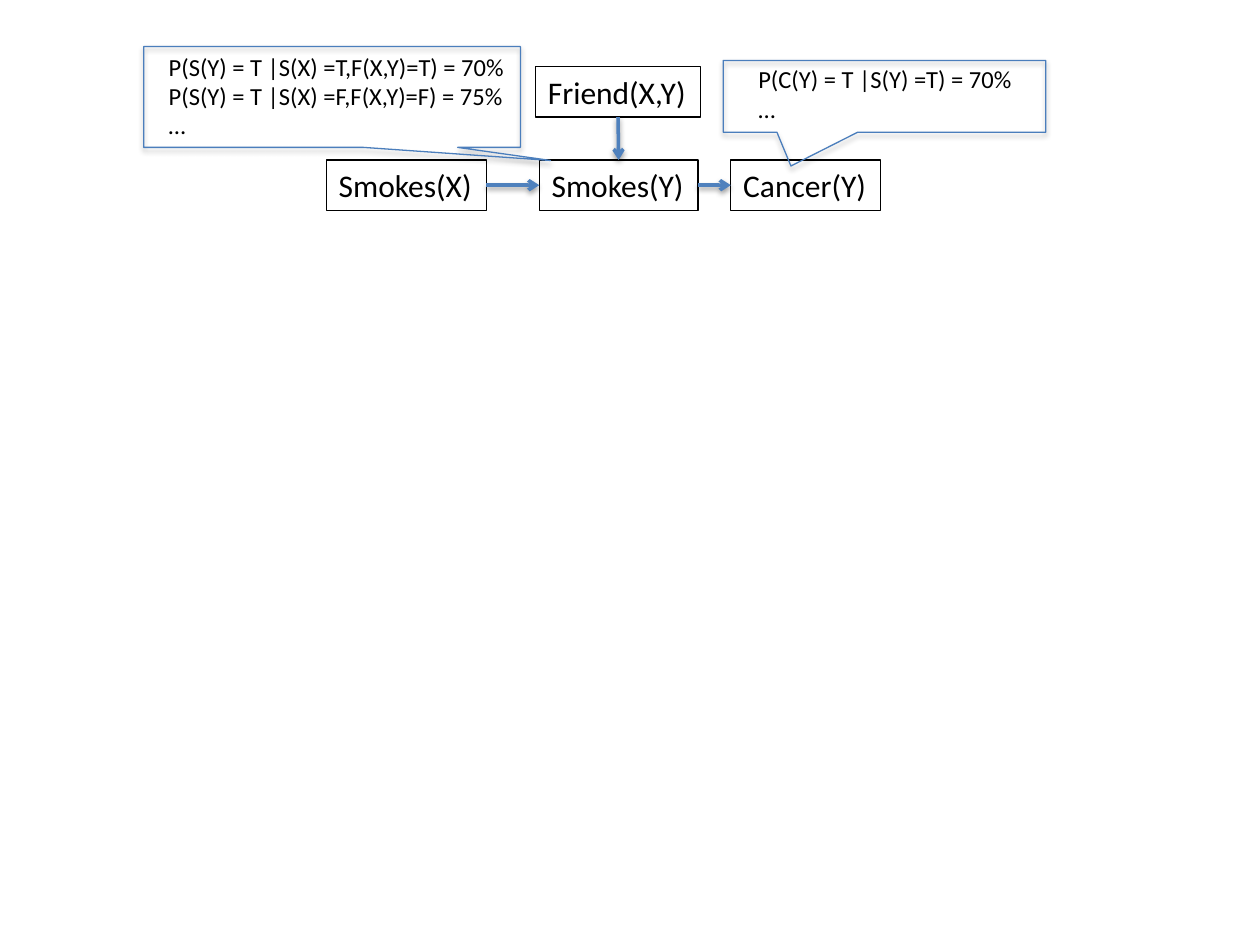
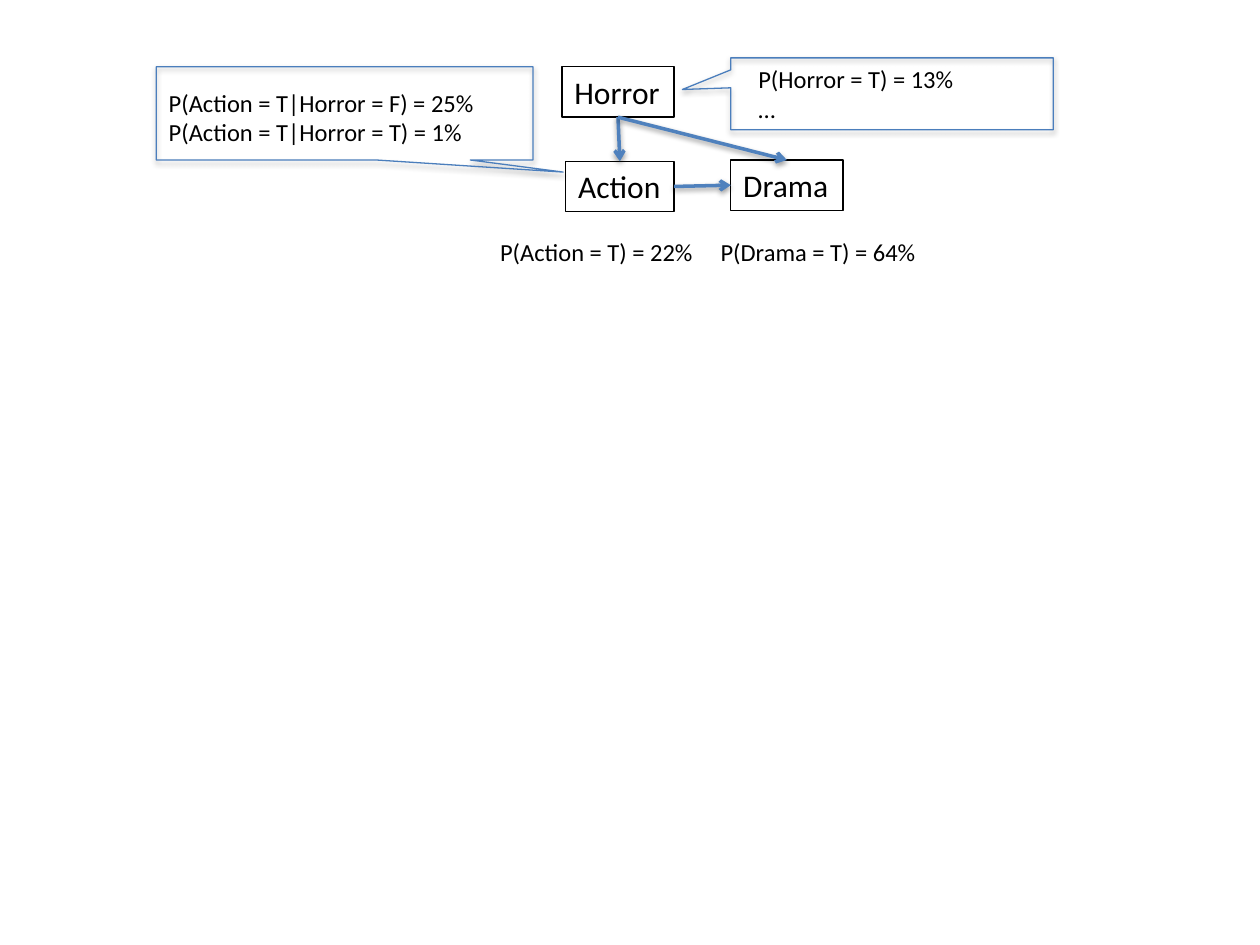
import pptx
import pptx.util
import pptx.dml.color
import pptx.enum.shapes
import pptx.enum.text
import pptx.oxml

COLOURS = {"ink": "000000", "arrow": "4F81BD", "callout": "4B7EBC"}
FONT = "Calibri"
NODE_SIZE, NOTE_SIZE = 18, 14
NODE_HEIGHT = 4
TOP, LEFT, BOTTOM, RIGHT = range(4)  # connection sites of a rectangle

deck = pptx.Presentation()
deck.slide_width = pptx.util.Inches(10)
deck.slide_height = pptx.util.Inches(7.5)
COLUMN = deck.slide_width / 100
ROW = deck.slide_height / 75

# Grid places are (left, top, width, height) in columns and rows.
PAGES = [
    {
        "nodes": {
            "Cancer(Y)": (58, 12.7, 11.9),
            "Smokes(X)": (25.9, 12.7, 12.7),
            "Friend(X,Y)": (42.5, 5.3, 13.1),
            "Smokes(Y)": (42.8, 12.7, 12.6),
        },
        "arrows": [
            ("Friend(X,Y)", BOTTOM, "Smokes(Y)", TOP),
            ("Smokes(Y)", RIGHT, "Cancer(Y)", LEFT),
            ("Smokes(X)", RIGHT, "Smokes(Y)", LEFT),
        ],
        "notes": [
            ("P(C(Y) = T |S(Y) =T) = 70%\n…", (59.2, 4.6, 22.6, 5.7)),
            ("P(S(Y) = T |S(X) =T,F(X,Y)=T) = 70%\n"
             "P(S(Y) = T |S(X) =F,F(X,Y)=F) = 75%\n…", (12.4, 3.6, 29.9, 8.1)),
        ],
        "callouts": [
            ((57.4, 4.8, 25.6, 5.7), (-0.29, 0.97)),
            ((11.4, 3.7, 29.9, 8), (0.58, 0.63)),
        ],
    },
    {
        "nodes": {
            "Drama": (58, 12.7, 8.9),
            "Horror": (44.6, 5.3, 8.9),
            "Action": (44.9, 12.8, 8.6),
        },
        "arrows": [
            ("Horror", BOTTOM, "Action", TOP),
            ("Action", RIGHT, "Drama", LEFT),
            ("Horror", BOTTOM, "Drama", TOP),
        ],
        "notes": [
            ("P(Horror = T) = 13%\n…", (59.2, 4.6, 18.2, 5.7)),
            ("P(Action = T|Horror = F) = 25%\vP(Action = T|Horror = T) = 1%",
             (12.4, 6.5, 29.9, 5.7)),
            ("P(Action = T) = 22%", (38.7, 18.3, 21.2, 3.4)),
            ("P(Drama = T) = 64%", (56.2, 18.3, 21.2, 3.4)),
        ],
        "callouts": [
            ((58, 4.6, 25.6, 5.7), (-0.65, -0.06)),
            ((12.4, 5.3, 29.9, 7.4), (0.58, 0.63)),
        ],
    },
]


def add_label(page, text, place, size, wrap):
    """Add a left-aligned text box at a grid place and return it."""
    left, top, width, height = place
    box = page.shapes.add_textbox(
        round(left * COLUMN), round(top * ROW),
        round(width * COLUMN), round(height * ROW))
    frame = box.text_frame
    frame.text = text
    frame.word_wrap = wrap
    frame.auto_size = pptx.enum.text.MSO_AUTO_SIZE.SHAPE_TO_FIT_TEXT
    for para in frame.paragraphs:
        for span in para.runs:
            span.font.name = FONT
            span.font.size = pptx.util.Pt(size)
            span.font.color.rgb = pptx.dml.color.RGBColor.from_string(COLOURS["ink"])
    return box


def style_outline(shape, colour, width, shadow=None):
    """Set the line and, from (distance, opacity percent), a soft drop shadow."""
    shape.line.color.rgb = pptx.dml.color.RGBColor.from_string(COLOURS[colour])
    shape.line.width = pptx.util.Pt(width)
    if shadow:
        distance, opacity = shadow
        effects = pptx.oxml.parse_xml(
            '<a:effectLst xmlns:a="http://schemas.openxmlformats.org/drawingml/2006/main">'
            f'<a:outerShdw blurRad="{pptx.util.Pt(3.1)}" dist="{pptx.util.Pt(distance)}" '
            'dir="5400000" rotWithShape="0">'
            f'<a:srgbClr val="{COLOURS["ink"]}"><a:alpha val="{opacity * 1000}"/></a:srgbClr>'
            '</a:outerShdw></a:effectLst>')
        shape.element.spPr.append(effects)


for content in PAGES:
    page = deck.slides.add_slide(deck.slide_layouts[6])

    nodes = {}
    for name, (left, top, width) in content["nodes"].items():
        place = (left, top, width, NODE_HEIGHT)
        nodes[name] = add_label(page, name, place, NODE_SIZE, wrap=False)
        style_outline(nodes[name], "ink", 0.75)

    for start, start_site, end, end_site in content["arrows"]:
        arrow = page.shapes.add_connector(
            pptx.enum.shapes.MSO_CONNECTOR.STRAIGHT, 0, 0, 0, 0)
        arrow.begin_connect(nodes[start], start_site)
        arrow.end_connect(nodes[end], end_site)
        style_outline(arrow, "arrow", 2, shadow=(1.6, 38))
        arrow.line._get_or_add_ln().append(pptx.oxml.parse_xml(
            '<a:tailEnd xmlns:a="http://schemas.openxmlformats.org/drawingml/2006/main" '
            'type="arrow"/>'))

    for text, place in content["notes"]:
        add_label(page, text, place, NOTE_SIZE, wrap=True)

    for (left, top, width, height), tip in content["callouts"]:
        callout = page.shapes.add_shape(
            pptx.enum.shapes.MSO_SHAPE.RECTANGULAR_CALLOUT,
            round(left * COLUMN), round(top * ROW),
            round(width * COLUMN), round(height * ROW))
        callout.adjustments[0], callout.adjustments[1] = tip
        callout.fill.background()
        style_outline(callout, "callout", 0.75, shadow=(1.8, 35))

deck.save("out.pptx")
